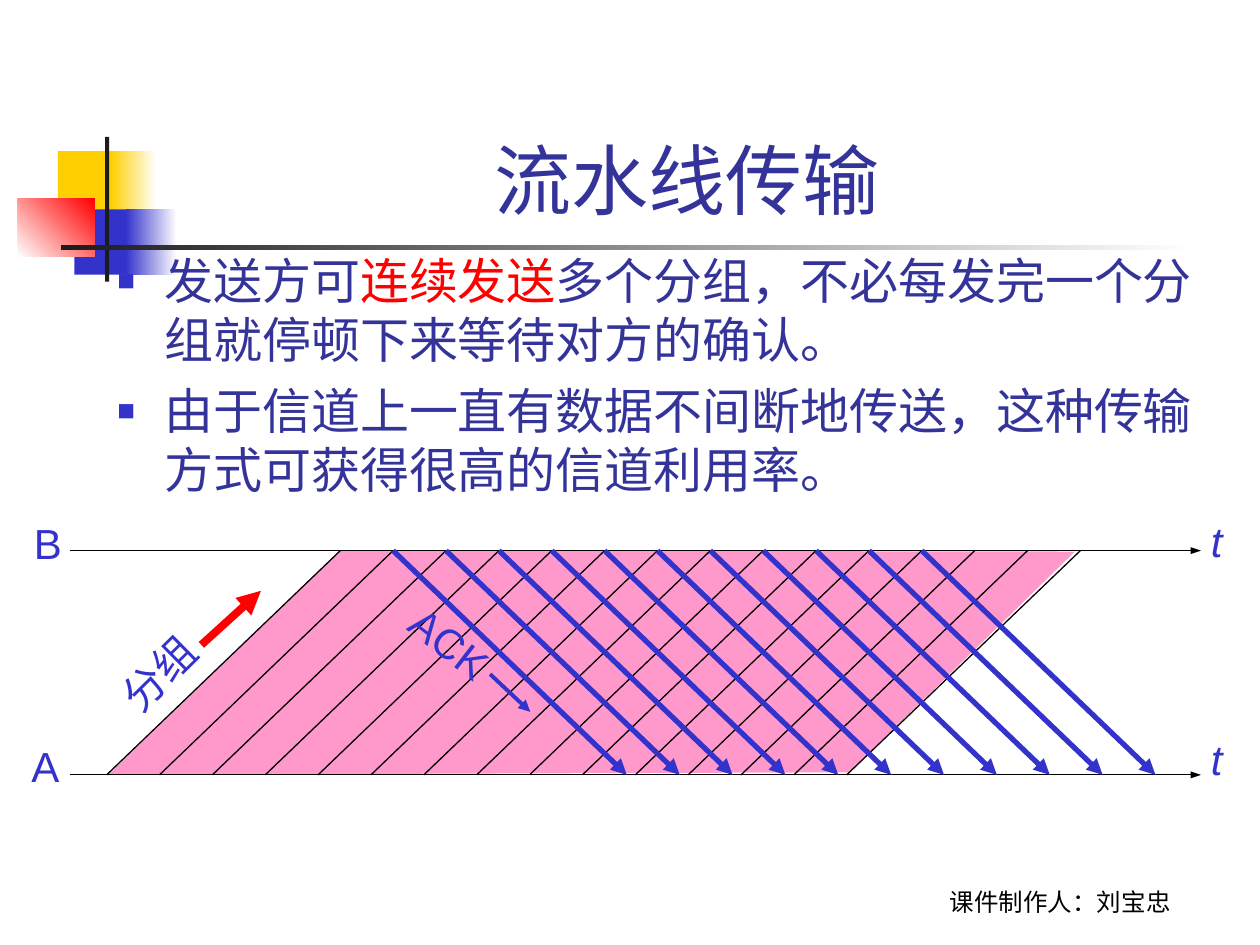
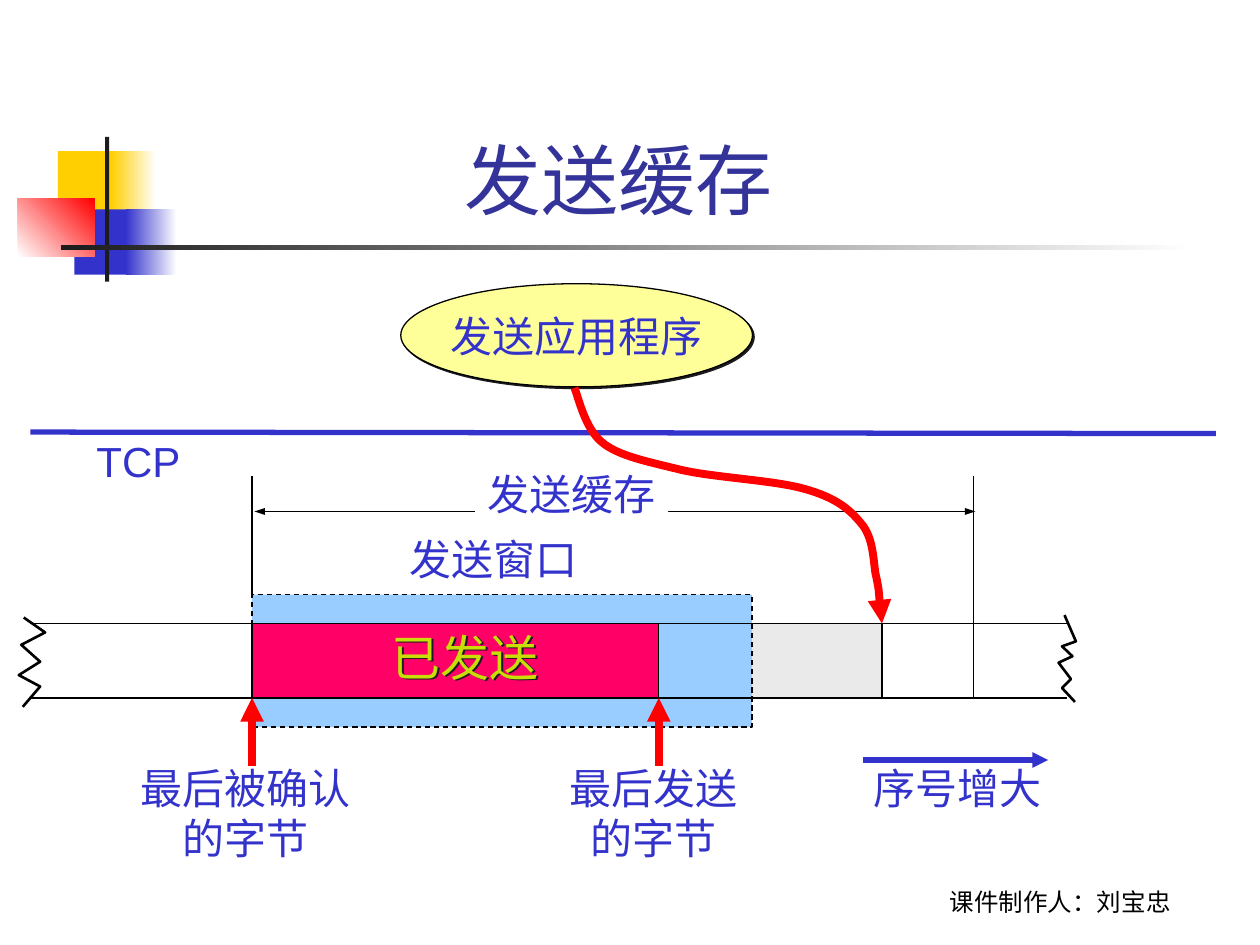
from copy import deepcopy

from lxml.etree import SubElement
from pptx import Presentation
from pptx.dml.color import RGBColor
from pptx.enum.dml import MSO_LINE
from pptx.enum.shapes import MSO_CONNECTOR, MSO_SHAPE
from pptx.enum.text import MSO_ANCHOR, MSO_AUTO_SIZE, PP_ALIGN
from pptx.oxml.ns import qn
from pptx.util import Cm, Pt

BLACK = RGBColor(0x00, 0x00, 0x00)
WHITE = RGBColor(0xFF, 0xFF, 0xFF)
CHARCOAL = RGBColor(0x1C, 0x1C, 0x1C)
GREY = RGBColor(0xEA, 0xEA, 0xEA)
RED = RGBColor(0xFF, 0x00, 0x00)
CRIMSON = RGBColor(0xFF, 0x00, 0x66)
PINK = RGBColor(0xFF, 0x99, 0xCC)
GOLD = RGBColor(0xFF, 0xCF, 0x01)
CREAM = RGBColor(0xFF, 0xFF, 0x99)
LIME = RGBColor(0xC9, 0xDE, 0x06)
BLUE = RGBColor(0x33, 0x33, 0xCC)
NAVY = RGBColor(0x33, 0x33, 0x99)
SKY = RGBColor(0x99, 0xCC, 0xFF)
FONT = "Arial"


def add_label(shapes, text, left, top, width, height=1.27, size=24, color=BLUE, font=FONT):
    """Add a centred, unwrapped text box; lengths are in centimetres."""
    label = shapes.add_textbox(Cm(left), Cm(top), Cm(width), Cm(height))
    label.text_frame.text = text
    label.text_frame.word_wrap = False
    label.text_frame.auto_size = MSO_AUTO_SIZE.SHAPE_TO_FIT_TEXT
    for paragraph in label.text_frame.paragraphs:
        paragraph.alignment = PP_ALIGN.CENTER
        for run in paragraph.runs:
            run.font.name = font
            run.font.size = Pt(size)
            run.font.color.rgb = color
    return label


def add_line(shapes, x1, y1, x2, y2, color=BLACK, width=0.75, ends=()):
    """Add a straight line in centimetres; ends lists "headEnd" and/or "tailEnd"."""
    line = shapes.add_connector(MSO_CONNECTOR.STRAIGHT, Cm(x1), Cm(y1), Cm(x2), Cm(y2))
    line.line.color.rgb = color
    line.line.width = Pt(width)
    properties = line.element.spPr
    for end in ends:
        SubElement(properties.find(qn("a:ln")), qn(f"a:{end}"), type="triangle",
                   w="sm" if width < 1 else "med")
    SubElement(properties, qn("a:effectLst"))


prs = Presentation()
prs.slide_width, prs.slide_height = Cm(25.4), Cm(19.05)
pipeline = prs.slides.add_slide(prs.slide_layouts[1])
buffering = prs.slides.add_slide(prs.slide_layouts[5])

# Shared decoration and credit line, moved to the slide master
ornaments = [
    # left, top, width, height, start colour, end colour, angle
    (1.17, 3.05, 1.22, 1.32, GOLD, None, 0),
    (2.24, 3.05, 0.91, 1.32, GOLD, WHITE, 0),
    (1.5, 4.22, 1.17, 1.32, BLUE, None, 0),
    (2.54, 4.22, 1.02, 1.32, BLUE, WHITE, 0),
    (0.36, 4.01, 1.55, 1.17, WHITE, RED, 45),
    (2.12, 2.76, 0.08, 2.92, CHARCOAL, None, 0),
    (1.23, 4.94, 22.86, 0.1, CHARCOAL, WHITE, 0),
]
shared = []
for left, top, width, height, start, end, angle in ornaments:
    ornament = pipeline.shapes.add_shape(
        MSO_SHAPE.RECTANGLE, Cm(left), Cm(top), Cm(width), Cm(height))
    ornament.shadow.inherit = False
    ornament.line.fill.background()
    if end is None:
        ornament.fill.solid()
        ornament.fill.fore_color.rgb = start
    else:
        ornament.fill.gradient()
        ornament.fill.gradient_angle = angle
        for stop, color in zip(ornament.fill.gradient_stops, (start, end)):
            stop.color.rgb = color
    shared.append(ornament)
credit = add_label(pipeline.shapes, "课件制作人：刘宝忠", 17.35, 17.32, 8.05,
                   size=14, color=BLACK, font="Lato")
credit.text_frame.auto_size = MSO_AUTO_SIZE.NONE
credit.text_frame.vertical_anchor = MSO_ANCHOR.BOTTOM
shared.append(credit)
for number, item in enumerate(shared, start=100):
    item.element.find(".//" + qn("p:cNvPr")).set("id", str(number))
    prs.slide_master.shapes.element.append(item.element)

# Titles
for slide, heading, width in ((pipeline, "流水线传输 ", 21.64), (buffering, "发送缓存 ", 18.9)):
    title = slide.shapes.title
    title.left, title.top, title.width, title.height = Cm(3.2), Cm(0.6), Cm(width), Cm(4.06)
    title.text_frame.text = heading
    title.text_frame.auto_size = MSO_AUTO_SIZE.NONE
    title.text_frame.vertical_anchor = MSO_ANCHOR.BOTTOM
    paragraph = title.text_frame.paragraphs[0]
    paragraph.alignment = PP_ALIGN.CENTER
    heading_font = paragraph.runs[0].font
    heading_font.name, heading_font.size = FONT, Pt(44)
    heading_font.color.rgb = NAVY

# Slide 1: bullet list
points = [
    [("发送方可", NAVY), ("连续发送", RED),
     ("多个分组，不必每发完一个分组就停顿下来等待对方的确认。", NAVY)],
    [("由于信道上一直有数据不间断地传送，这种传输方式可获得很高的信道利用率。", NAVY)],
]
body = pipeline.placeholders[1]
body.left, body.top, body.width, body.height = Cm(2.11), Cm(4.93), Cm(22.38), Cm(5.79)
frame = body.text_frame
frame.auto_size = MSO_AUTO_SIZE.NONE
for index, point in enumerate(points):
    paragraph = frame.add_paragraph() if index else frame.paragraphs[0]
    paragraph.space_before = Pt(7 if index else 0)
    properties = paragraph._p.get_or_add_pPr()
    properties.set("marL", str(Cm(0.95)))
    properties.set("indent", str(-Cm(0.95)))
    SubElement(SubElement(properties, qn("a:buClr")), qn("a:srgbClr"), val=str(BLUE))
    SubElement(properties, qn("a:buSzPct"), val="60000")
    SubElement(properties, qn("a:buFont"), typeface=FONT)
    SubElement(properties, qn("a:buChar"), char="■")
    for text, color in point:
        run = paragraph.add_run()
        run.text = text
        run.font.name, run.font.size = FONT, Pt(28)
        run.font.color.rgb = color

# Slide 1: packets travel from A up to B, acknowledgements travel back
shapes = pipeline.shapes
B_Y, A_Y = 11.1, 15.62
PACKETS = 14
FIRST_X, LAST_X, TRAVEL = 2.15, 17.07, 4.71
step = (LAST_X - FIRST_X) / PACKETS
builder = shapes.build_freeform(Cm(2.18), Cm(A_Y))
builder.add_line_segments(
    [(Cm(6.86), Cm(B_Y)), (Cm(21.67), Cm(11.12)), (Cm(17.12), Cm(15.57))], close=True)
packets = builder.convert_to_shape()
packets.shadow.inherit = False
packets.fill.solid()
packets.fill.fore_color.rgb = PINK
packets.line.fill.background()

for y in (A_Y, B_Y):
    add_line(shapes, 1.42, y, 24.21, y, ends=["tailEnd"])
for index in range(PACKETS + 1):
    x = FIRST_X + index * step
    add_line(shapes, x, A_Y, x + TRAVEL, B_Y)
for index in range(1, 12):
    x = FIRST_X + index * step + TRAVEL
    add_line(shapes, x, B_Y, x + TRAVEL, A_Y, BLUE, 3, ["tailEnd"])
add_line(shapes, 4.06, 13, 5.26, 11.91, RED, 4.5, ["tailEnd"])
add_line(shapes, 9.88, 13.59, 10.69, 14.35, BLUE, 2.25, ["tailEnd"])

add_label(shapes, "B", 0.43, 10.31, 1.07)
add_label(shapes, "A", 0.38, 14.81, 1.07)
for top in (10.26, 14.66):
    time = add_label(shapes, "t", 24.16, top, 0.74)
    time.text_frame.paragraphs[0].runs[0].font.italic = True
add_label(shapes, "分组", 2.06, 12.93, 2.28).rotation = 315.3
add_label(shapes, "ACK", 7.95, 12.32, 2.24).rotation = 37.8

# Slide 2: send buffer as a strip of bytes
shapes = buffering.shapes
STRIP_TOP, STRIP_BOTTOM = 12.57, 14.07
ACKED_X, SENT_X, WRITTEN_X, BUFFER_END_X = 5.08, 13.28, 17.78, 19.63
strip_height = STRIP_BOTTOM - STRIP_TOP

areas = []
for kind, left, top, width, height, color in (
    (MSO_SHAPE.RECTANGLE, SENT_X, STRIP_TOP, WRITTEN_X - SENT_X, strip_height, GREY),
    (MSO_SHAPE.RECTANGLE, ACKED_X, 11.99, 10.08, 2.67, SKY),
    (MSO_SHAPE.RECTANGLE, ACKED_X, STRIP_TOP, SENT_X - ACKED_X, strip_height, CRIMSON),
    (MSO_SHAPE.OVAL, 8.08, 5.72, 7.09, 2.08, CREAM),
):
    area = shapes.add_shape(kind, Cm(left), Cm(top), Cm(width), Cm(height))
    area.shadow.inherit = False
    area.fill.solid()
    area.fill.fore_color.rgb = color
    area.line.fill.background()
    areas.append(area)
written, window, sent, application = areas
for outlined in (window, application):
    outlined.line.color.rgb = BLACK
    outlined.line.width = Pt(0.75)
window.line.dash_style = MSO_LINE.DASH

effects = application.element.spPr.find(qn("a:effectLst"))
shadow = SubElement(effects, qn("a:outerShdw"), blurRad="0", dist=str(Pt(1.4)), dir="2700000")
SubElement(shadow, qn("a:srgbClr"), val=str(CHARCOAL))
application.text_frame.text = "发送应用程序"
application.text_frame.word_wrap = False
application.text_frame.vertical_anchor = MSO_ANCHOR.MIDDLE
paragraph = application.text_frame.paragraphs[0]
paragraph.alignment = PP_ALIGN.CENTER
application_font = paragraph.runs[0].font
application_font.name, application_font.size = FONT, Pt(24)
application_font.color.rgb = BLUE

add_line(shapes, 0.61, 8.71, 24.51, 8.74, BLUE, 3)
for y in (STRIP_TOP, STRIP_BOTTOM):
    add_line(shapes, 0.61, y, 21.51, y)
for x in (ACKED_X, SENT_X, WRITTEN_X):
    add_line(shapes, x, STRIP_TOP, x, STRIP_BOTTOM)
add_line(shapes, ACKED_X, 9.6, ACKED_X, 11.99)
add_line(shapes, BUFFER_END_X, 9.6, BUFFER_END_X, STRIP_BOTTOM)
add_line(shapes, 5.13, 10.31, 19.66, 10.31, ends=["headEnd", "tailEnd"])
for x in (ACKED_X, SENT_X):
    add_line(shapes, x, 15.44, x, STRIP_BOTTOM, RED, 4.5, ["tailEnd"])
add_line(shapes, 17.4, 15.32, 21.13, 15.32, BLUE, 3, ["tailEnd"])

buffer_name = add_label(shapes, "发送缓存", 9.58, 9.32, 3.89)
buffer_name.fill.solid()
buffer_name.fill.fore_color.rgb = WHITE
add_label(shapes, "发送窗口", 8, 10.64, 3.89)
add_label(shapes, "TCP", 1.65, 8.66, 2.28)
add_label(shapes, "最后被确认\n的字节", 2.54, 15.24, 4.82, 2.29)
add_label(shapes, "最后发送\n的字节", 11.23, 15.24, 3.89, 2.29)
add_label(shapes, "序号增大", 17.35, 15.24, 3.89)
sent_name = add_label(shapes, "已发送", 7.6, 12.52, 3.55, 1.45, size=28, color=LIME)
sent_name.element.spPr.append(deepcopy(effects))

# Slide 2: torn strip ends and the curve from the application into the buffer
left_tear = [(0.48, 12.45), (0.91, 12.75), (0.43, 13), (0.81, 13.34), (0.38, 13.61),
             (0.81, 13.84), (0.46, 14.25)]
right_tear = [(21.46, 12.4), (21.69, 12.93), (21.41, 13.03), (21.62, 13.23),
              (21.34, 13.36), (21.59, 13.69), (21.41, 13.87), (21.67, 14.15)]
write_route = [
    (11.58, 7.82),
    (11.66, 8), (11.79, 8.64), (12.14, 8.92),
    (12.47, 9.19), (13.03, 9.3), (13.72, 9.47),
    (14.4, 9.63), (15.62, 9.68), (16.23, 9.86),
    (16.84, 10.03), (17.12, 10.26), (17.35, 10.54),
    (17.6, 10.82), (17.6, 11.23), (17.65, 11.56),
    (17.73, 11.91), (17.75, 12.37), (17.78, 12.57),
]
for route, color, width in ((left_tear, BLACK, 1.5), (right_tear, BLACK, 1.5),
                            (write_route, RED, 4.5)):
    (start_x, start_y), *rest = route
    builder = shapes.build_freeform(Cm(start_x), Cm(start_y))
    builder.add_line_segments([(Cm(x), Cm(y)) for x, y in rest], close=False)
    stroke = builder.convert_to_shape()
    stroke.shadow.inherit = False
    stroke.fill.background()
    stroke.line.color.rgb = color
    stroke.line.width = Pt(width)

# The last stroke is the write route: each three points become one Bézier segment
outline = stroke.element.find(".//" + qn("a:path"))
segments = outline.findall(qn("a:lnTo"))
for first in range(0, len(segments), 3):
    bezier = SubElement(outline, qn("a:cubicBezTo"))
    for segment in segments[first:first + 3]:
        bezier.append(segment[0])
        outline.remove(segment)
SubElement(stroke.element.spPr.find(qn("a:ln")), qn("a:tailEnd"), type="triangle")

prs.save("out.pptx")
